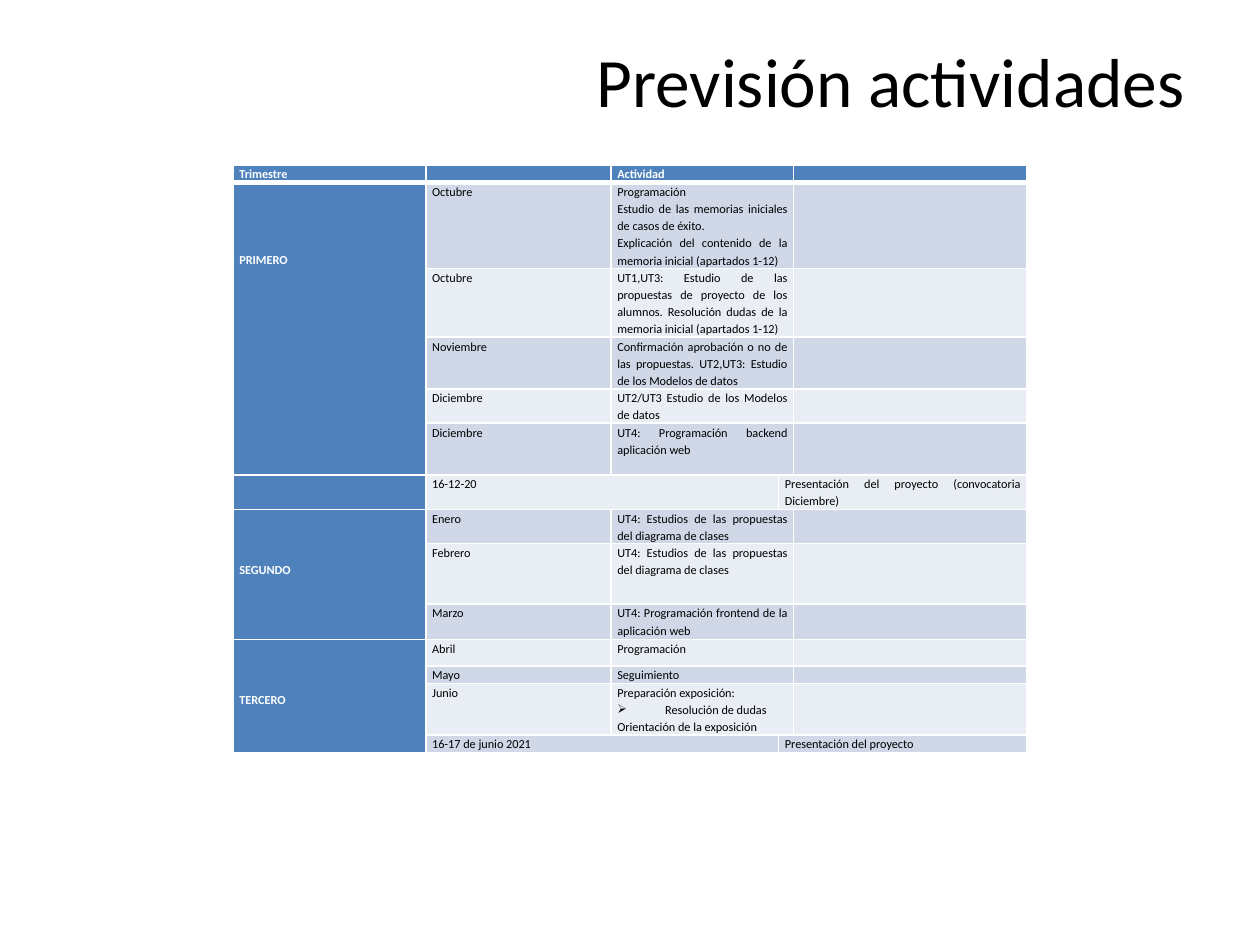
import pptx
import pptx.util
import pptx.dml.color
import pptx.enum.text
import pptx.oxml.ns
import lxml.etree

TITLE = "Previsión actividades"
HEADINGS = ["Trimestre", "", "Actividad"]
TERMS = [
    ("PRIMERO", 4, [
        (0.68, "Octubre", ["Programación",
                           "Estudio de las memorias iniciales de casos de éxito.",
                           "Explicación del contenido de la memoria inicial (apartados 1-12)"]),
        (0.54, "Octubre", ["UT1,UT3: Estudio de las propuestas de proyecto de los alumnos. "
                           "Resolución dudas de la memoria inicial (apartados 1-12)"]),
        (0.41, "Noviembre", ["Confirmación aprobación o no de las propuestas. "
                             "UT2,UT3: Estudio de los Modelos de datos"]),
        (0.27, "Diciembre", ["UT2/UT3 Estudio de los Modelos de datos"]),
        (0.41, "Diciembre", ["UT4: Programación backend aplicación web"]),
    ]),
    ("", 0, [
        (0.27, "16-12-20", ["Presentación del proyecto (convocatoria Diciembre)"]),
    ]),
    ("SEGUNDO", 3, [
        (0.27, "Enero", ["UT4: Estudios de las propuestas del diagrama de clases"]),
        (0.48, "Febrero", ["UT4: Estudios de las propuestas del diagrama de clases"]),
        (0.28, "Marzo", ["UT4: Programación frontend de la aplicación web"]),
    ]),
    ("TERCERO", 3, [
        (0.21, "Abril", ["Programación"]),
        (0.14, "Mayo", ["Seguimiento"]),
        (0.41, "Junio", ["Preparación exposición:", "➢Resolución de dudas",
                         "Orientación de la exposición"]),
        (0.14, "16-17 de junio 2021", ["Presentación del proyecto"]),
    ]),
]
MILESTONES = {"16-12-20", "16-17 de junio 2021"}
BULLET = "➢"
COLUMNS = [1.53, 1.47, 1.33, 0.12, 1.85]
HEADER_HEIGHT = 0.14
LINE_HEIGHT = 0.136
COLORS = {"head": "4F81BD", "odd": "D0D8E8", "even": "E9EDF4",
          "line": "FFFFFF", "light": "FFFFFF", "dark": "000000"}
INCH = pptx.util.Inches
ALIGN = pptx.enum.text.PP_ALIGN


def apply(target, values):
    for name, value in values.items():
        setattr(target, name, value)


def rgb(name):
    return pptx.dml.color.RGBColor.from_string(COLORS[name])


def add(parent, tag, **attributes):
    return lxml.etree.SubElement(parent, pptx.oxml.ns.qn(tag), attributes)


def write(para, text, size, color, bold=False):
    span = para.add_run()
    span.text = text
    apply(span.font, {"name": "Calibri", "size": pptx.util.Pt(size), "bold": bold})
    span.font.color.rgb = rgb(color)


def style_cell(cell, row, column):
    apply(cell, {"margin_left": INCH(0.05), "margin_right": INCH(0.05),
                 "margin_top": 0, "margin_bottom": 0})
    properties = cell._tc.get_or_add_tcPr()
    for side in "LRTB":
        heavy = (row == 0 and side == "B") or (row == 1 and side == "T")
        border = add(properties, "a:ln" + side, w=str(pptx.util.Pt(3 if heavy else 1)))
        add(add(border, "a:solidFill"), "a:srgbClr", val=COLORS["line"])
    band = "head" if row == 0 or column == 0 else ("odd" if row % 2 else "even")
    cell.fill.solid()
    cell.fill.fore_color.rgb = rgb(band)
    add(cell.text_frame.paragraphs[0]._p, "a:endParaRPr", sz="700")


def fill_cell(cell, lines, heading=False):
    frame = cell.text_frame
    for index, line in enumerate(lines):
        if not line:
            continue
        para = frame.add_paragraph() if index else frame.paragraphs[0]
        apply(para, {"alignment": ALIGN.JUSTIFY, "line_spacing": 1.15})
        if line.startswith(BULLET):
            properties = para._p.get_or_add_pPr()
            properties.set("marL", str(INCH(0.38)))
            properties.set("indent", str(INCH(-0.38)))
            add(properties, "a:buChar", char=BULLET)
        write(para, line.lstrip(BULLET), 7, "light" if heading else "dark", heading)


deck = pptx.Presentation()
apply(deck, {"slide_width": INCH(10), "slide_height": INCH(7.5)})
page = deck.slides.add_slide(deck.slide_layouts[6])

heights = [HEADER_HEIGHT] + [entry[0] for term in TERMS for entry in term[2]]
grid = page.shapes.add_table(len(heights), len(COLUMNS), INCH(1.85), INCH(1.31),
                             INCH(sum(COLUMNS)), INCH(sum(heights))).table
for column, width in zip(grid.columns, COLUMNS):
    column.width = INCH(width)
for row, height in zip(grid.rows, heights):
    row.height = INCH(height)
for row in range(len(heights)):
    for column in range(len(COLUMNS)):
        style_cell(grid.cell(row, column), row, column)

for column, heading in enumerate(HEADINGS):
    fill_cell(grid.cell(0, column), [heading], True)
grid.cell(0, 2).merge(grid.cell(0, 3))

row = 1
for name, lines_above, entries in TERMS:
    label = grid.cell(row, 0)
    if len(entries) > 1:
        label.merge(grid.cell(row + len(entries) - 1, 0))
    label.margin_top = INCH(lines_above * LINE_HEIGHT)
    fill_cell(label, [name], True)
    for height, date, activity in entries:
        fill_cell(grid.cell(row, 1), [date])
        starts = (1, 3) if date in MILESTONES else (2,)
        for start in starts:
            grid.cell(row, start).merge(grid.cell(row, start + 1))
        fill_cell(grid.cell(row, starts[-1]), activity)
        row += 1

box = page.shapes.add_textbox(INCH(0.5), INCH(0.3), INCH(9), INCH(1.25))
apply(box.text_frame, {"word_wrap": True, "margin_top": 0,
                       "vertical_anchor": pptx.enum.text.MSO_ANCHOR.TOP})
para = box.text_frame.paragraphs[0]
para.alignment = ALIGN.RIGHT
write(para, TITLE, 39.6, "dark")

deck.save("out.pptx")
